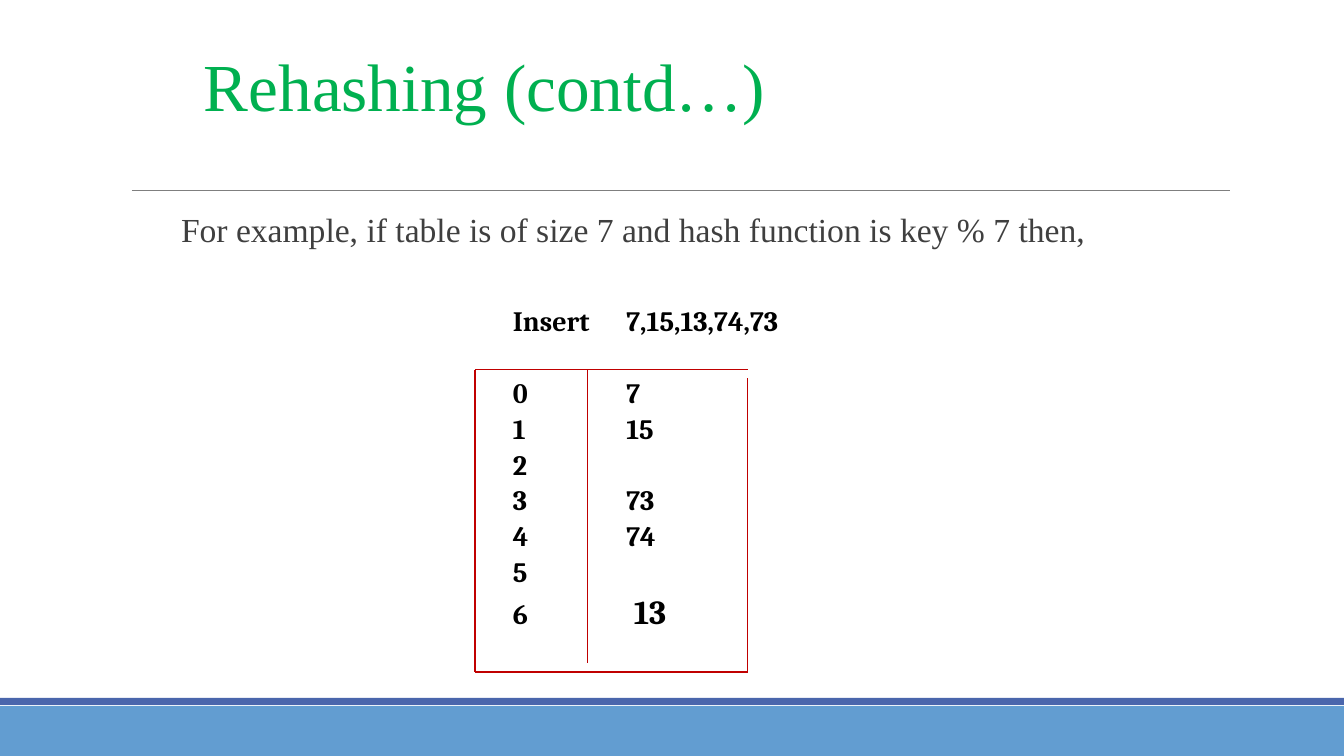
"""Build the rehashing slide with its hash table of size 7."""
from lxml import etree
from pptx import Presentation
from pptx.dml.color import RGBColor
from pptx.enum.shapes import MSO_CONNECTOR, MSO_SHAPE
from pptx.enum.text import MSO_ANCHOR, PP_ALIGN
from pptx.oxml.ns import qn
from pptx.util import Pt

PX = 12192000 / 1344
GREEN = RGBColor(0x00, 0xB0, 0x50)
DARK = RGBColor(0x3F, 0x3F, 0x3F)
BLACK = RGBColor(0x00, 0x00, 0x00)
GREY = RGBColor(0x7F, 0x7F, 0x7F)
RED = RGBColor(0xC0, 0x00, 0x00)
LIGHT_BLUE = RGBColor(0x62, 0x9D, 0xD1)
BLUE = RGBColor(0x4A, 0x66, 0xAC)
RECT = MSO_SHAPE.RECTANGLE
STRAIGHT = MSO_CONNECTOR.STRAIGHT
TOP = MSO_ANCHOR.TOP
LEFT = PP_ALIGN.LEFT
JUSTIFY = PP_ALIGN.JUSTIFY
SERIF = "Times New Roman"
TABLE_FONT = "Cambria"

SLOTS = ["7", "15", "", "73", "74", ""]
TABLE_LINES = [
    (475, 370, 475, 672),
    (588, 370, 588, 663),
    (475, 370, 748, 370),
    (475, 672, 748, 672),
    (748, 378, 748, 672),
]


def px(n):
    """Turn pixels into EMU."""
    return round(n * PX)


def add_bar(s, top, height, color):
    """Add a bar across the full slide width."""
    sp = s.shapes.add_shape(RECT, 0, px(top), px(1344), px(height))
    sp.shadow.inherit = False
    sp.fill.solid()
    sp.fill.fore_color.rgb = color
    sp.line.fill.background()


def add_line(s, ends, color):
    """Add a thin straight line without a shadow."""
    line = s.shapes.add_connector(STRAIGHT, *map(px, ends))
    line.line.color.rgb = color
    line.line.width = Pt(0.75)
    etree.SubElement(line._element.spPr, qn("a:effectLst"))


def set_frame(sp, box, margins):
    """Place a text shape, set its margins and return its frame."""
    sp.left, sp.top, sp.width, sp.height = map(px, box)
    tf = sp.text_frame
    tf.word_wrap = True
    tf.vertical_anchor = TOP
    tf.margin_left, tf.margin_top, tf.margin_right, tf.margin_bottom = map(px, margins)
    return tf


def add_text(s, box, margins):
    """Add a text box and return its frame."""
    return set_frame(s.shapes.add_textbox(0, 0, 0, 0), box, margins)


def set_paragraph(p, text, name, size, color, spacing=0.9, bold=False, align=LEFT):
    """Fill a paragraph and set its font, spacing and alignment."""
    p.add_run().text = text
    p.alignment = align
    p.line_spacing = spacing
    p.font.name = name
    p.font.size = Pt(size)
    p.font.bold = bold
    p.font.color.rgb = color


def add_row(p, text, before):
    """Write one tabbed row of the hash table."""
    pPr = p._p.get_or_add_pPr()
    pPr.set("marL", str(px(215)))
    pPr.set("indent", str(-px(63)))
    set_paragraph(p, text, TABLE_FONT, 20, BLACK, bold=True, align=JUSTIFY)
    p.space_before = Pt(before)


def add_hash_table(s):
    """Add the inserted keys, the slots and the red rules."""
    tf = add_text(s, (361, 302, 546, 420), (0, 5, 2, 5))
    add_row(tf.paragraphs[0], "Insert \t7,15,13,74,73", 0)
    for i, key in enumerate(SLOTS):
        text = f"{i}\t\t{key}" if key else str(i)
        add_row(tf.add_paragraph(), text, 4 if i else 30)
    p = tf.add_paragraph()
    add_row(p, "6\t\t", 5)
    r = p.add_run()
    r.text = " 13"
    r.font.size = Pt(24)
    for ends in TABLE_LINES:
        add_line(s, ends, RED)


def main():
    """Build and save the slide."""
    prs = Presentation()
    prs.slide_width, prs.slide_height = px(1344), px(756)
    s = prs.slides.add_slide(prs.slide_layouts[5])
    add_bar(s, 706, 50, LIGHT_BLUE)
    add_bar(s, 698, 7, BLUE)
    add_line(s, (132, 191, 1230, 191), GREY)
    tf = set_frame(s.shapes.title, (194, 45, 1109, 160), (10, 12, 10, 5))
    set_paragraph(tf.paragraphs[0], "Rehashing (contd…)", SERIF, 48, GREEN, spacing=0.85)
    tf = add_text(s, (121, 204, 1109, 444), (60, 10, 10, 10))
    set_paragraph(
        tf.paragraphs[0],
        "For example, if table is of size 7 and hash function is key % 7 then,",
        SERIF, 24, DARK,
    )
    add_hash_table(s)
    prs.save("out.pptx")


if __name__ == "__main__":
    main()
